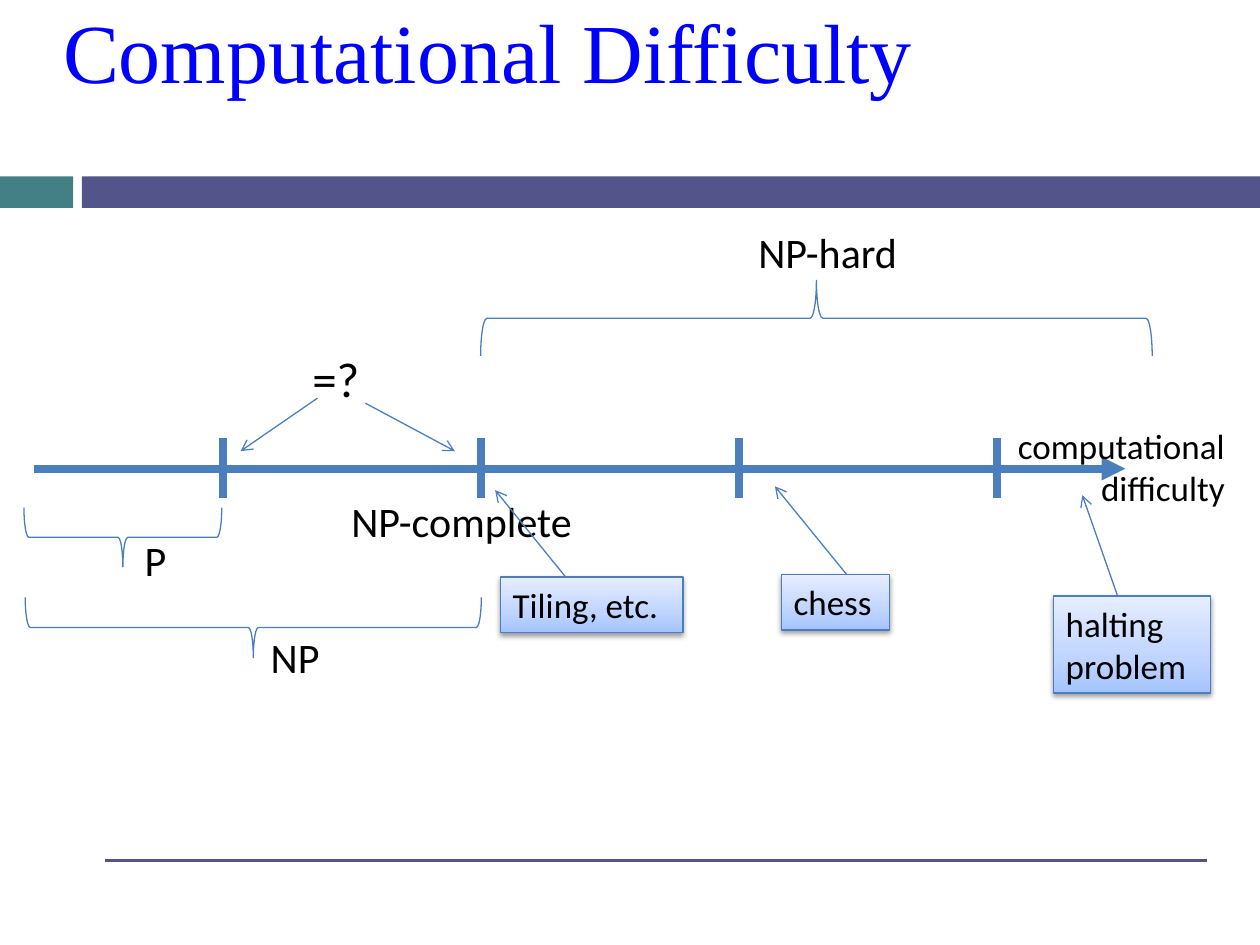
"""Build the slide that places problem classes on an axis of computational difficulty."""
from copy import deepcopy
from dataclasses import dataclass

from lxml.etree import SubElement
from pptx import Presentation
from pptx.dml.color import RGBColor as RGB
from pptx.enum.shapes import MSO_CONNECTOR as Connector, MSO_SHAPE as Shape
from pptx.enum.text import MSO_ANCHOR as Anchor, MSO_AUTO_SIZE as AutoSize, PP_ALIGN as Align
from pptx.oxml.ns import qn
from pptx.util import Inches, Pt


@dataclass(frozen=True)
class Theme:
    teal: RGB = RGB(0x43, 0x80, 0x86)
    purple: RGB = RGB(0x53, 0x54, 0x8A)
    blue: RGB = RGB(0x4B, 0x7E, 0xBC)
    title: RGB = RGB(0, 0, 0xFF)
    text: RGB = RGB(0, 0, 0)
    gradient: tuple = ((0, "A4C4FF"), (0.35, "BFD4FF"), (1, "E6EEFF"))
    title_font: str = "Times New Roman"
    body_font: str = "Calibri"
    title_size: int = 48
    question_size: int = 28
    class_size: int = 24
    problem_size: int = 20
    thin: float = 0.75
    rule: float = 1.5
    thick: float = 4.5


theme = Theme()


def write_text(frame, text, font=theme.body_font, size=theme.class_size,
               color=theme.text, align=Align.LEFT, wrap=False, fit=AutoSize.SHAPE_TO_FIT_TEXT):
    frame.text = text
    frame.word_wrap = wrap
    frame.auto_size = fit
    for paragraph in frame.paragraphs:
        paragraph.alignment = align
        paragraph.font.name = font
        paragraph.font.size = Pt(size)
        paragraph.font.color.rgb = color


def draw_line(start, end, width=theme.thin, color=theme.blue, head=None):
    line = slide.shapes.add_connector(Connector.STRAIGHT, *map(Inches, start + end))
    line.line.width = Pt(width)
    line.line.color.rgb = color
    properties = line._element.spPr
    if head:
        SubElement(properties.find(qn("a:ln")), qn("a:tailEnd"), type=head)
    SubElement(properties, qn("a:effectLst"))


deck = Presentation()
deck.slide_width, deck.slide_height = Inches(10), Inches(7.5)
slide = deck.slides.add_slide(deck.slide_layouts[5])

for left, width, color in ((0, 0.58, theme.teal), (0.65, 9.35, theme.purple)):
    band = slide.shapes.add_shape(Shape.RECTANGLE, Inches(left), Inches(1.4), Inches(width), Inches(0.25))
    band.fill.solid()
    band.fill.fore_color.rgb = color
    band.line.fill.background()
    band.shadow.inherit = False
draw_line((0.83, 6.83), (9.58, 6.83), theme.rule, theme.purple)

title = slide.shapes.title
title.left, title.top, title.width, title.height = map(Inches, (0.5, 0, 9, 1.39))
heading = title.text_frame
write_text(heading, "Computational Difficulty", font=theme.title_font, size=theme.title_size,
           color=theme.title, wrap=True, fit=AutoSize.NONE)
heading.vertical_anchor = Anchor.TOP
heading.margin_left = heading.margin_right = heading.margin_top = heading.margin_bottom = 0

axis_y = 3.72
draw_line((0.27, axis_y), (8.93, axis_y), theme.thick, head="triangle")
first_tick, last_tick, gaps = 1.77, 7.91, 3
for step in range(gaps + 1):
    tick_x = first_tick + step * (last_tick - first_tick) / gaps
    draw_line((tick_x, axis_y - 0.24), (tick_x, axis_y + 0.23), theme.thick)

braces = (
    (0.74, 3.48, 0.47, 1.57, 90),
    (1.77, 3.17, 0.48, 3.62, 90),
    (6.18, -0.14, 0.6, 5.33, 270),
)
for *box, rotation in braces:
    brace = slide.shapes.add_shape(Shape.RIGHT_BRACE, *map(Inches, box))
    brace.rotation = rotation
    brace.fill.background()
    brace.line.color.rgb = theme.blue
    brace.line.width = Pt(theme.thin)
    brace.shadow.inherit = False

labels = (
    ("P", (1.05, 4.19, 0.41, 0.5), {}),
    ("NP", (2.05, 4.96, 0.69, 0.5), {}),
    ("NP-hard", (5.92, 1.75, 1.5, 0.5), {}),
    ("=?", (2.38, 2.72, 0.58, 0.57), {"size": theme.question_size}),
    ("NP-complete", (2.69, 3.88, 2.16, 0.5), {}),
    ("computational\ndifficulty", (7.96, 3.32, 1.86, 0.77),
     {"size": theme.problem_size, "align": Align.RIGHT}),
)
for text, box, style in labels:
    label = slide.shapes.add_textbox(*map(Inches, box))
    write_text(label.text_frame, text, **style)

for start, end in (((2.52, 3.16), (1.91, 3.58)), ((2.9, 3.2), (3.61, 3.58))):
    draw_line(start, end, head="arrow")

problems = (
    ("Tiling, etc.", (3.97, 4.58, 1.45, 0.44), 4.49, (3.93, 3.89)),
    ("chess", (6.2, 4.56, 0.86, 0.44), 6.72, (6.15, 3.86)),
    ("halting\nproblem", (8.36, 4.73, 1.25, 0.77), 8.87, (8.59, 3.93)),
)
for text, box, arrow_x, target in problems:
    problem = slide.shapes.add_textbox(*map(Inches, box))
    write_text(problem.text_frame, text, size=theme.problem_size)
    problem.fill.gradient()
    problem.fill.gradient_angle = 90
    properties = problem._element.spPr
    stop_list = properties.find(qn("a:gradFill")).find(qn("a:gsLst"))
    stop_list.append(deepcopy(stop_list[0]))
    for stop, (position, color) in zip(problem.fill.gradient_stops, theme.gradient):
        stop.position = position
        stop.color.rgb = RGB.from_string(color)
    problem.line.color.rgb = theme.blue
    problem.line.width = Pt(theme.thin)
    problem.shadow.inherit = False
    shadow = SubElement(properties.find(qn("a:effectLst")), qn("a:outerShdw"), blurRad=str(Pt(3.1)),
                        dist=str(Pt(1.6)), dir="5400000", rotWithShape="0")
    shade = SubElement(shadow, qn("a:srgbClr"), val="000000")
    SubElement(shade, qn("a:alpha"), val="38000")
    draw_line((arrow_x, box[1]), target, head="arrow")

deck.save("out.pptx")
